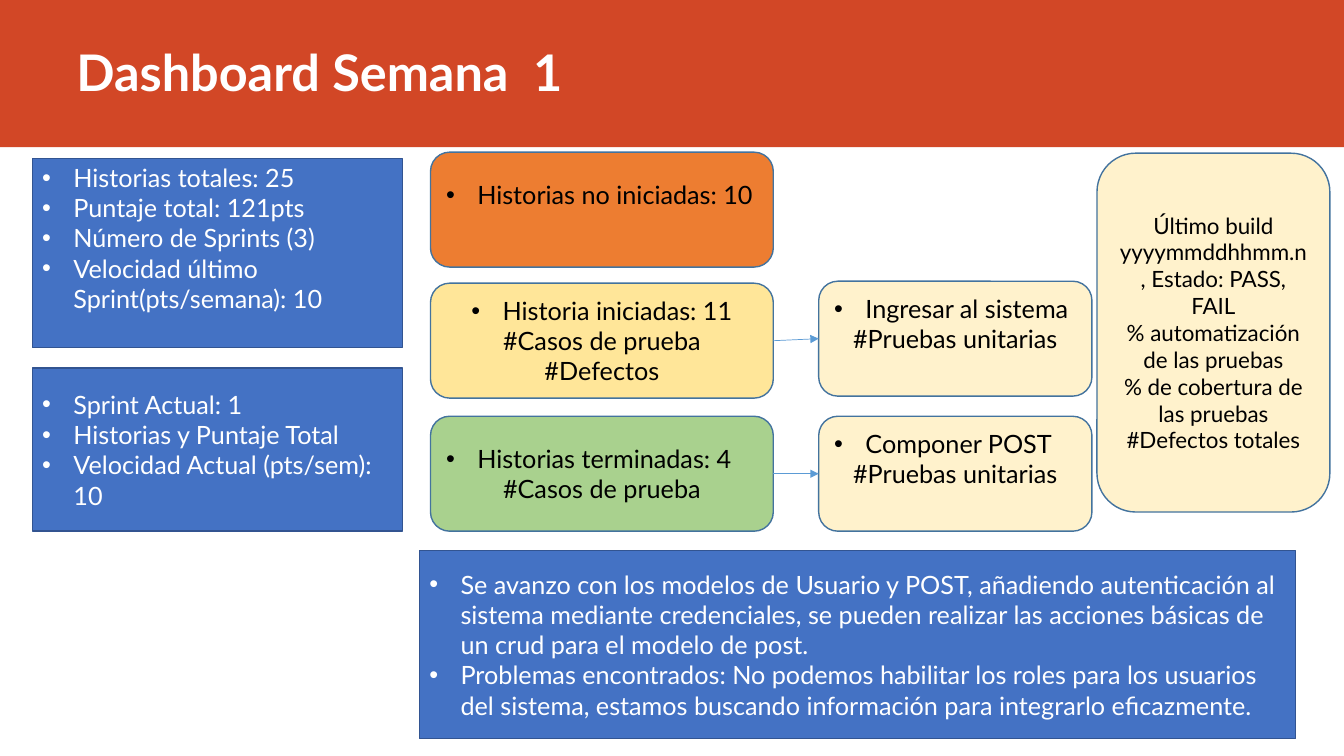
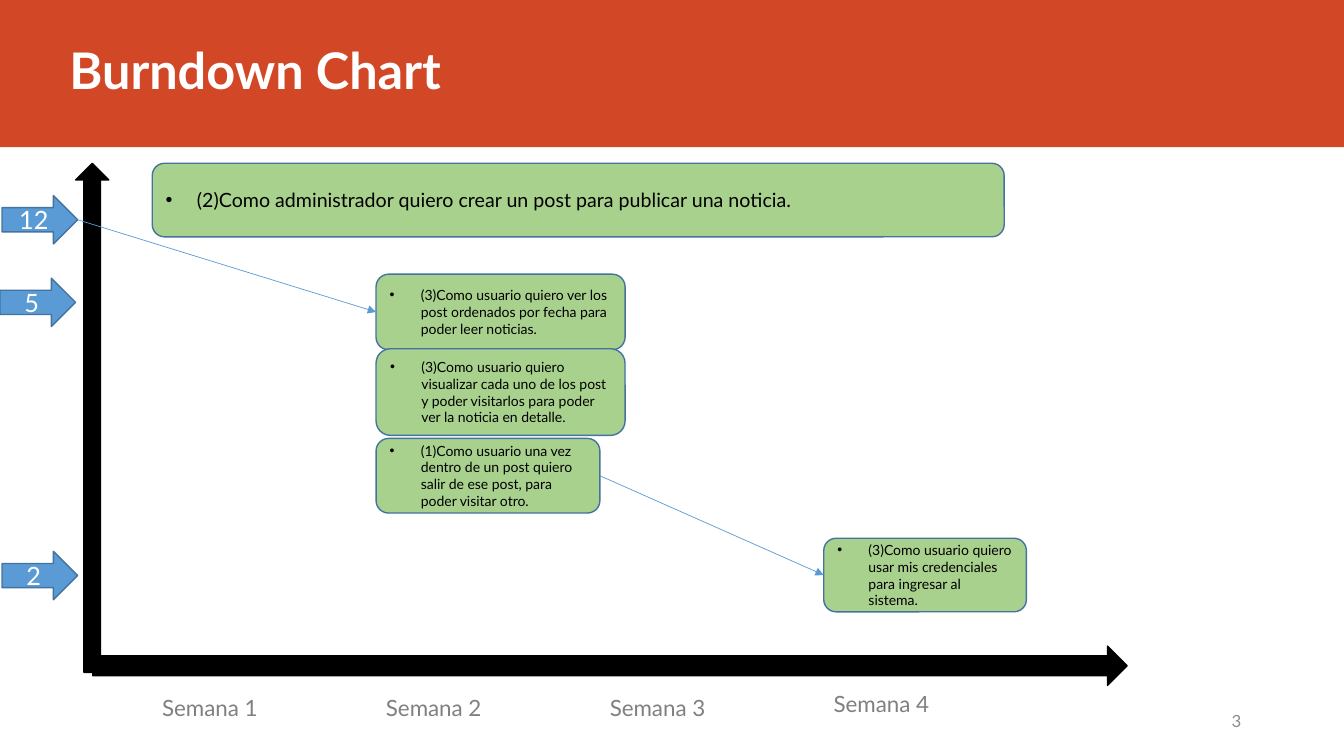
from dataclasses import dataclass

from lxml.etree import SubElement
from pptx import Presentation
from pptx.dml.color import RGBColor
from pptx.enum.shapes import MSO_CONNECTOR, MSO_SHAPE
from pptx.enum.text import MSO_ANCHOR, PP_ALIGN
from pptx.oxml.ns import qn
from pptx.util import Inches, Pt


@dataclass(frozen=True)
class Theme:
    font: str = "Lato"
    band: str = "D24726"
    white: str = "FFFFFF"
    black: str = "000000"
    blue: str = "4472C4"
    blue_edge: str = "325491"
    sky: str = "5B9BD5"
    edge: str = "43739E"
    orange: str = "ED7D31"
    yellow: str = "FFE699"
    cream: str = "FFF2CC"
    green: str = "A9D18E"
    label: str = "808080"
    number: str = "8C8C8C"
    title_pt: int = 36
    body_pt: int = 18
    note_pt: int = 16
    story_pt: int = 14
    number_pt: int = 12
    small_pt: int = 10


def apply(target, formats):
    for name, value in formats.items():
        setattr(target, name, value)


class Deck:
    def __init__(self, theme):
        self.theme = theme
        self.prs = Presentation()
        apply(self.prs, {"slide_width": Inches(13.33), "slide_height": Inches(7.5)})
        self.s = None

    def slide(self, title, box):
        t = self.theme
        self.s = self.prs.slides.add_slide(self.prs.slide_layouts[6])
        self.shape(MSO_SHAPE.RECTANGLE, (0, 0, 13.33, 1.46), t.band)
        self.text(box, title, t.title_pt, t.white, anchor=MSO_ANCHOR.BOTTOM, bold=True)

    def shape(self, kind, box, fill, edge=None):
        sp = self.s.shapes.add_shape(kind, *map(Inches, box))
        sp.shadow.inherit = False
        sp.fill.solid()
        sp.fill.fore_color.rgb = RGBColor.from_string(fill)
        if edge:
            sp.line.color.rgb = RGBColor.from_string(edge)
            sp.line.width = Pt(1)
        else:
            sp.line.fill.background()
        return sp

    def paragraph(self, p, text, size, color, align=PP_ALIGN.LEFT, bold=False):
        p.alignment = align
        r = p.add_run()
        r.text = text
        apply(r.font, {"name": self.theme.font, "size": Pt(size), "bold": bold})
        r.font.color.rgb = RGBColor.from_string(color)

    def bullet(self, p):
        pPr = p._p.get_or_add_pPr()
        pPr.set("marL", str(Inches(0.31)))
        pPr.set("indent", str(-Inches(0.31)))
        SubElement(pPr, qn("a:buFont")).set("typeface", "Arial")
        SubElement(pPr, qn("a:buChar")).set("char", "•")

    def text(self, box, text, size, color, align=PP_ALIGN.LEFT,
             anchor=MSO_ANCHOR.TOP, bold=False, spacing=None):
        tf = self.s.shapes.add_textbox(*map(Inches, box)).text_frame
        apply(tf, {"word_wrap": True, "vertical_anchor": anchor})
        p = tf.paragraphs[0]
        self.paragraph(p, text, size, color, align, bold)
        apply(p, spacing or {})

    def fill_text(self, sp, bullets, lines, size, color,
                  bullet_align=PP_ALIGN.LEFT, bottom=0.05):
        tf = sp.text_frame
        apply(tf, {"word_wrap": True, "vertical_anchor": MSO_ANCHOR.MIDDLE,
                   "margin_bottom": Inches(bottom)})
        for i, text in enumerate([*bullets, *lines]):
            p = tf.add_paragraph() if i else tf.paragraphs[0]
            bulleted = i < len(bullets)
            align = bullet_align if bulleted else PP_ALIGN.CENTER
            self.paragraph(p, text, size, color, align)
            if bulleted:
                self.bullet(p)

    def card(self, box, fill, bullets=(), lines=(), size=None, **options):
        t = self.theme
        sp = self.shape(MSO_SHAPE.ROUNDED_RECTANGLE, box, fill, t.edge)
        self.fill_text(sp, bullets, lines, size or t.body_pt, t.black, **options)
        return sp

    def panel(self, box, bullets, **options):
        t = self.theme
        sp = self.shape(MSO_SHAPE.RECTANGLE, box, t.blue, t.blue_edge)
        self.fill_text(sp, bullets, (), t.body_pt, t.white, **options)

    def marker(self, left, top, value):
        t = self.theme
        sp = self.shape(MSO_SHAPE.RIGHT_ARROW, (left, top, 0.75, 0.48), t.sky, t.edge)
        self.fill_text(sp, (), [value], t.body_pt, t.white)
        return sp

    def axis(self, box, rotation=0):
        t = self.theme
        sp = self.shape(MSO_SHAPE.RIGHT_ARROW, box, t.black, t.black)
        sp.rotation = rotation

    def arrow(self, start, end):
        c = self.s.shapes.add_connector(MSO_CONNECTOR.STRAIGHT, 0, 0, 0, 0)
        c.begin_connect(start, 3)
        c.end_connect(end, 1)
        c.line.color.rgb = RGBColor.from_string(self.theme.sky)
        c.line.width = Pt(0.5)
        SubElement(c.line._get_or_add_ln(), qn("a:tailEnd")).set("type", "triangle")
        SubElement(c._element.spPr, qn("a:effectLst"))

    def page_number(self, number):
        t = self.theme
        self.text((8.83, 6.95, 3.58, 0.4), str(number), t.number_pt, t.number,
                  PP_ALIGN.RIGHT, MSO_ANCHOR.MIDDLE)


def dashboard(deck):
    t = deck.theme
    blank_line = 0.35
    deck.slide("Dashboard Semana  1", (0.66, -0.09, 11.76, 1.15))
    deck.card((10.88, 1.52, 2.31, 3.56), t.cream, size=t.note_pt, lines=[
        "Último build yyyymmddhhmm.n, Estado: PASS, FAIL",
        "% automatización de las pruebas",
        "% de cobertura de las pruebas",
        "#Defectos totales"])

    states = [
        (1.51, t.orange, "Historias no iniciadas: 10", [], {"bottom": blank_line}),
        (2.81, t.yellow, "Historia iniciadas: 11", ["#Casos de prueba", "#Defectos"],
         {"bullet_align": PP_ALIGN.CENTER}),
        (4.13, t.green, "Historias terminadas: 4", ["#Casos de prueba"], {}),
    ]
    _, started, finished = [
        deck.card((4.27, top, 3.4, 1.14), fill, [head], lines, **options)
        for top, fill, head, lines, options in states]

    for state, top, story in [(started, 2.79, "Ingresar al sistema"),
                              (finished, 4.13, "Componer POST")]:
        sp = deck.card((8.12, top, 2.71, 1.14), t.cream, [story],
                       ["#Pruebas unitarias"], bottom=blank_line)
        deck.arrow(state, sp)

    deck.panel((0.32, 1.57, 3.67, 1.88), [
        "Historias totales: 25",
        "Puntaje total: 121pts",
        "Número de Sprints (3)",
        "Velocidad último Sprint(pts/semana): 10"], bottom=blank_line)
    deck.panel((0.32, 3.65, 3.67, 1.62), [
        "Sprint Actual: 1",
        "Historias y Puntaje Total",
        "Velocidad Actual (pts/sem): 10"])
    deck.panel((4.16, 5.46, 8.69, 1.87), [
        "Se avanzo con los modelos de Usuario y POST, añadiendo autenticación al "
        "sistema mediante credenciales, se pueden realizar las acciones básicas de "
        "un crud para el modelo de post.",
        "Problemas encontrados: No podemos habilitar los roles para los usuarios "
        "del sistema, estamos buscando información para integrarlo eficazmente."])


def burndown(deck):
    t = deck.theme
    deck.slide("Burndown Chart", (0.59, -0.28, 11.76, 1.32))
    deck.page_number(3)
    deck.axis((0.92, 6.41, 10.26, 0.39))
    deck.axis((-1.61, 3.98, 5.05, 0.33), 270)

    weeks = [1.51 + 2.22 * i for i in range(4)]
    spacing = {"line_spacing": 1.5, "space_before": Pt(5), "space_after": Pt(12)}
    for i, (left, top) in enumerate(zip(weeks, (6.7, 6.7, 6.7, 6.66)), 1):
        deck.text((left, top, 1.16, 0.49), f"Semana {i}", t.note_pt, t.label,
                  spacing=spacing)

    stories = [
        (0, 1.62, 8.45, 0.73, t.story_pt,
         "(2)Como administrador quiero crear un post para publicar una noticia."),
        (3, 5.34, 2.01, 0.73, t.small_pt,
         "(3)Como usuario quiero usar mis credenciales para ingresar al sistema."),
        (1, 2.72, 2.47, 0.75, t.small_pt,
         "(3)Como usuario quiero ver los post ordenados por fecha para poder leer "
         "noticias."),
        (1, 3.46, 2.47, 0.86, t.small_pt,
         "(3)Como usuario quiero visualizar cada uno de los post y poder visitarlos "
         "para poder ver la noticia en detalle."),
        (1, 4.35, 2.22, 0.74, t.small_pt,
         "(1)Como usuario una vez dentro de un post quiero salir de ese post, para "
         "poder visitar otro."),
    ]
    _, login, ordered, _, leave = [
        deck.card((weeks[week], top, width, height), t.green, [story], size=size)
        for week, top, width, height, size, story in stories]

    twelve, _, _ = [deck.marker(*values) for values in
                    [(0.02, 1.94, "12"), (0, 2.76, "5"), (0.02, 5.47, "2")]]
    deck.arrow(twelve, ordered)
    deck.arrow(leave, login)


def main():
    deck = Deck(Theme())
    dashboard(deck)
    burndown(deck)
    deck.prs.save("out.pptx")


if __name__ == "__main__":
    main()
